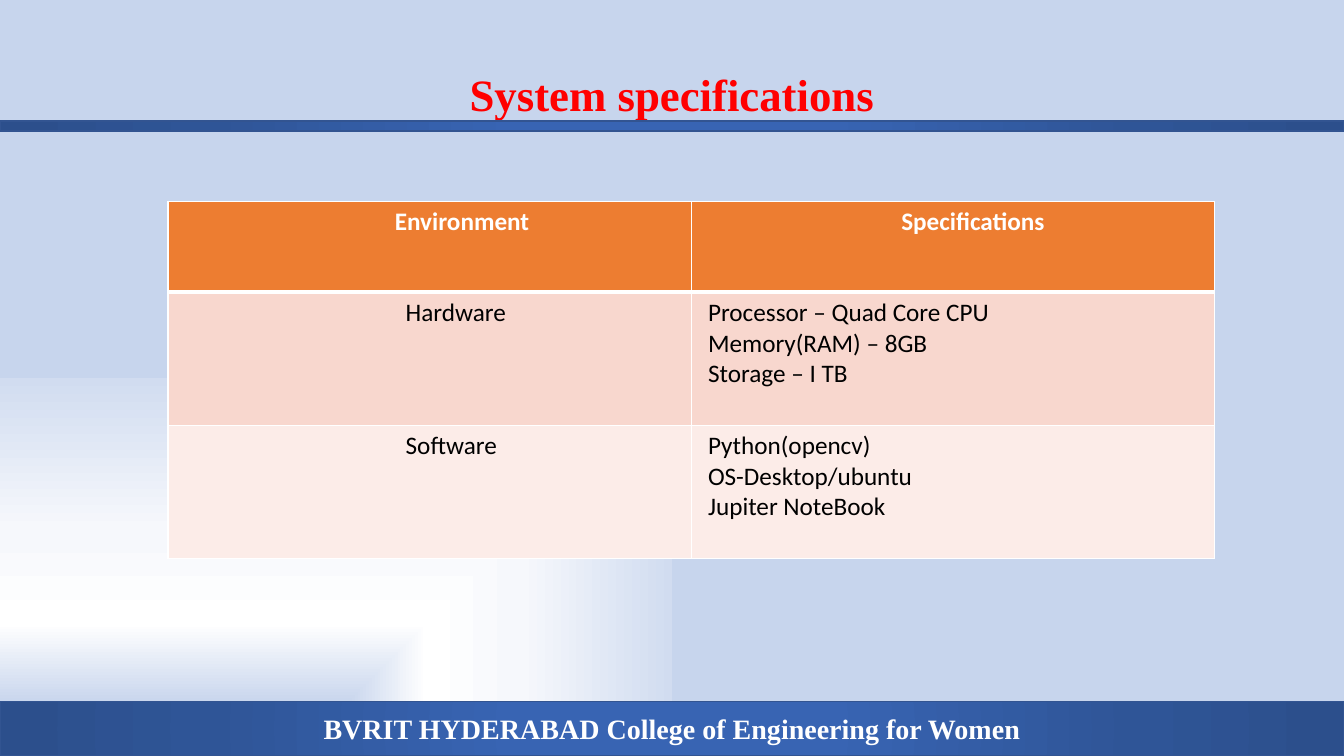
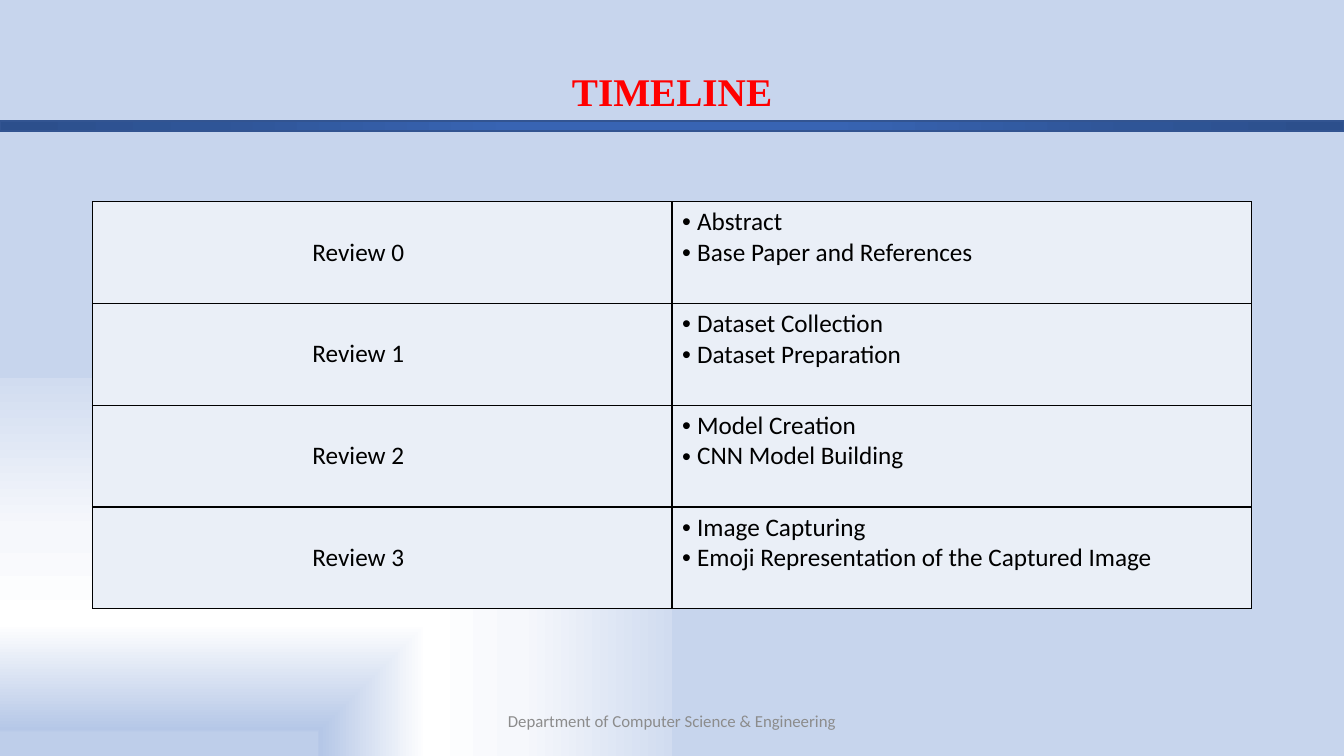
from lxml import etree
from pptx import Presentation
from pptx.dml.color import RGBColor
from pptx.enum.shapes import MSO_SHAPE
from pptx.enum.text import MSO_ANCHOR, MSO_AUTO_SIZE, PP_ALIGN
from pptx.oxml.ns import qn
from pptx.util import Inches, Pt

RECTANGLE = MSO_SHAPE.RECTANGLE
TOP, MIDDLE = MSO_ANCHOR.TOP, MSO_ANCHOR.MIDDLE
LEFT, CENTER = PP_ALIGN.LEFT, PP_ALIGN.CENTER
NO_FIT = MSO_AUTO_SIZE.NONE

BLACK = RGBColor(0x00, 0x00, 0x00)
WHITE = RGBColor(0xFF, 0xFF, 0xFF)
RED = RGBColor(0xFF, 0x00, 0x00)
GRAY = RGBColor(0x8C, 0x8C, 0x8C)
BAND_LINE = RGBColor(0x32, 0x54, 0x91)
BAND_LIGHT = RGBColor(0x38, 0x64, 0xB3)
BAND_MID = RGBColor(0x2F, 0x55, 0x97)
BAND_DARK = RGBColor(0x2C, 0x4F, 0x8C)
ORANGE = RGBColor(0xED, 0x7D, 0x31)
PEACH = RGBColor(0xF8, 0xD7, 0xCE)
PALE_PEACH = RGBColor(0xFC, 0xEC, 0xE8)
PALE_BLUE = RGBColor(0xEA, 0xEF, 0xF7)

BACKDROP = [
    (6, RGBColor(0xBE, 0xCE, 0xEA)),
    (7, RGBColor(0xB5, 0xC7, 0xE7)),
    (35, WHITE),
    (60, RGBColor(0xF6, 0xF8, 0xFC)),
    (100, RGBColor(0xD1, 0xDC, 0xF0)),
    (100, RGBColor(0xAB, 0xC0, 0xE4)),
    (100, RGBColor(0xC7, 0xD5, 0xED)),
]
BAND = [(0, BAND_LIGHT), (23, BAND_LIGHT), (69, BAND_MID), (97, BAND_DARK)]

SERIF, SANS = "Times New Roman", "Calibri"
COLUMNS, ROWS = 16, 15
TITLE_ONLY = 5


def add_child(parent, tag, **attributes):
    child = etree.SubElement(parent, qn(tag))
    for key, value in attributes.items():
        child.set(key, str(value))
    return child


def path_gradient(fill, owner, stops, path, focus):
    fill.gradient()
    gradient = owner.find(".//" + qn("a:gradFill"))
    for child in list(gradient):
        gradient.remove(child)
    stop_list = add_child(gradient, "a:gsLst")
    for position, color in stops:
        stop = add_child(stop_list, "a:gs", pos=position * 1000)
        add_child(stop, "a:srgbClr", val=color)
    shade = add_child(gradient, "a:path", path=path)
    edges = {side: share * 1000 for side, share in zip("ltrb", focus)}
    add_child(shade, "a:fillToRect", **edges)


def set_borders(cell, color, widths):
    properties = cell._tc.get_or_add_tcPr()
    for index, (side, width) in enumerate(zip("LRTB", widths)):
        line = etree.Element(qn("a:ln" + side), w=str(Pt(width)))
        add_child(add_child(line, "a:solidFill"), "a:srgbClr", val=color)
        properties.insert(index, line)


class Deck:
    def __init__(self):
        self.prs = Presentation()
        self.prs.slide_width, self.prs.slide_height = Inches(13.33), Inches(7.5)
        self.slide = None
        master = self.prs.slide_master
        path_gradient(master.background.fill, master._element,
                      BACKDROP, "rect", (0, 100, 100, 0))

    def across(self, columns):
        return round(self.prs.slide_width * columns / COLUMNS)

    def down(self, rows):
        return round(self.prs.slide_height * rows / ROWS)

    def box(self, left, top, width, height):
        return (self.across(left), self.down(top),
                self.across(width), self.down(height))

    def style(self, paragraph, size, color, name=SANS, bold=False, align=LEFT):
        paragraph.alignment = align
        font = paragraph.font
        font.name, font.size, font.bold = name, Pt(size), bold
        font.color.rgb = color

    def start(self, heading, size, height):
        layout = self.prs.slide_layouts[TITLE_ONLY]
        self.slide = self.prs.slides.add_slide(layout)
        title = self.slide.shapes.title
        title.left, title.top, title.width, title.height = self.box(
            1.1, 0.8, 13.8, height)
        frame = title.text_frame
        frame.text = heading
        frame.auto_size, frame.vertical_anchor = NO_FIT, MIDDLE
        paragraph = frame.paragraphs[0]
        paragraph.line_spacing = 0.9
        self.style(paragraph, size, RED, SERIF, True, CENTER)
        self.band(2.4, 0.2)

    def band(self, top, height):
        band = self.slide.shapes.add_shape(
            RECTANGLE, *self.box(0, top, COLUMNS, height))
        band.shadow.inherit = False
        path_gradient(band.fill, band._element, BAND, "circle", (50,) * 4)
        band.line.color.rgb = BAND_LINE
        band.line.width = Pt(1)
        return band

    def college_band(self, college):
        frame = self.band(13.92, 1.08).text_frame
        frame.text = college
        frame.vertical_anchor = MIDDLE
        self.style(frame.paragraphs[0], 20, WHITE, SERIF, True, CENTER)

    def footer(self, department):
        footer = self.slide.shapes.add_textbox(*self.box(5.3, 13.9, 5.4, 0.8))
        frame = footer.text_frame
        frame.text = department
        frame.word_wrap, frame.vertical_anchor = True, MIDDLE
        self.style(frame.paragraphs[0], 12, GRAY, align=CENTER)

    def table(self, left, column_width, heights, rules, line_color, header):
        width = 2 * column_width
        table = self.slide.shapes.add_table(
            len(heights), 2, *self.box(left, 4, width, sum(heights))).table
        table.first_row, table.horz_banding = header, False
        for column in table.columns:
            column.width = self.across(column_width)
        for index, (row, height) in enumerate(zip(table.rows, heights)):
            row.height = self.down(height)
            for cell in row.cells:
                cell.fill.background()
                set_borders(cell, line_color, (1, 1, rules[index], rules[index + 1]))
        return table

    def fill_cell(self, cell, lines, fill, indent, color=BLACK, bold=False,
                  anchor=TOP, bullets=False):
        cell.fill.solid()
        cell.fill.fore_color.rgb = fill
        cell.margin_left = self.across(indent)
        cell.vertical_anchor = anchor
        cell.text_frame.text = "\n".join(lines)
        for paragraph in cell.text_frame.paragraphs:
            if bullets:
                hang = Inches(0.15)
                properties = paragraph._p.get_or_add_pPr()
                properties.set("marL", str(hang))
                properties.set("indent", str(-hang))
                add_child(properties, "a:buFont", typeface="Arial")
                add_child(properties, "a:buChar", char="•")
            self.style(paragraph, 18, color, bold=bold)


def specifications(deck):
    environments = [
        ("Hardware", PEACH,
         ["Processor – Quad Core CPU", "Memory(RAM) – 8GB", "Storage – I TB"]),
        ("Software", PALE_PEACH,
         ["Python(opencv)", "OS-Desktop/ubuntu", "Jupiter NoteBook"]),
    ]
    deck.start("System specifications", 32, 2.26)
    table = deck.table(2, 6.23, [1.8, 2.64, 2.64], [1, 3, 1, 1], WHITE, True)
    for column, (heading, indent) in enumerate(
            [("Environment", 2.7), ("Specifications", 2.5)]):
        deck.fill_cell(table.cell(0, column), [heading], ORANGE, indent, WHITE, True)
    for row, (environment, fill, details) in enumerate(environments, 1):
        deck.fill_cell(table.cell(row, 0), [environment], fill, 2.83)
        deck.fill_cell(table.cell(row, 1), details, fill, 0.2)
    deck.college_band("BVRIT HYDERABAD College of Engineering for Women")


def timeline(deck):
    reviews = [
        ["Abstract", "Base Paper and References"],
        ["Dataset Collection", "Dataset Preparation"],
        ["Model Creation", "CNN Model Building"],
        ["Image Capturing", "Emoji Representation of the Captured Image"],
    ]
    count = len(reviews)
    deck.start("TIMELINE", 28, 2.14)
    table = deck.table(1.1, 6.9, [2.02] * count, [1] * (count + 1), BLACK, False)
    for row, tasks in enumerate(reviews):
        deck.fill_cell(table.cell(row, 0), [f"Review {row}"], PALE_BLUE, 2.62,
                       anchor=MIDDLE)
        deck.fill_cell(table.cell(row, 1), tasks, PALE_BLUE, 0.12, bullets=True)
    deck.footer("Department of Computer Science & Engineering")


def main():
    deck = Deck()
    specifications(deck)
    timeline(deck)
    deck.prs.save("out.pptx")


if __name__ == "__main__":
    main()
